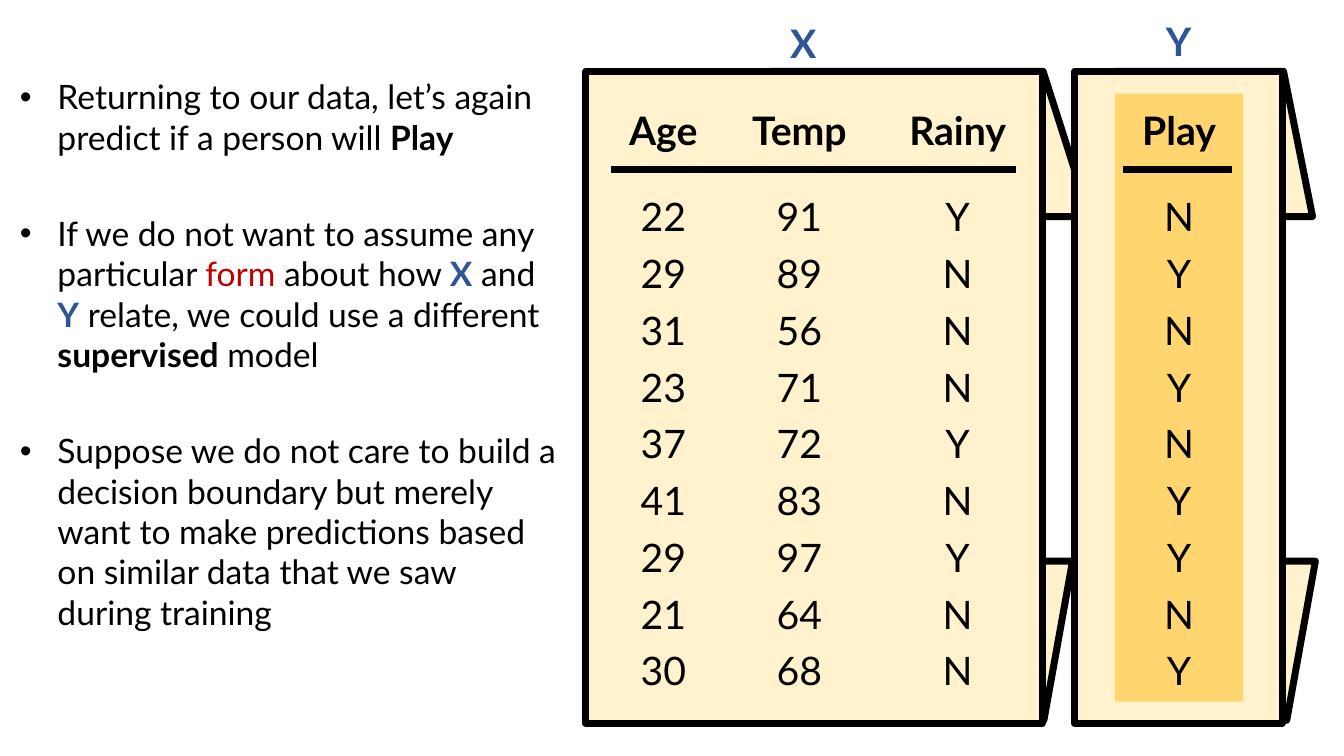
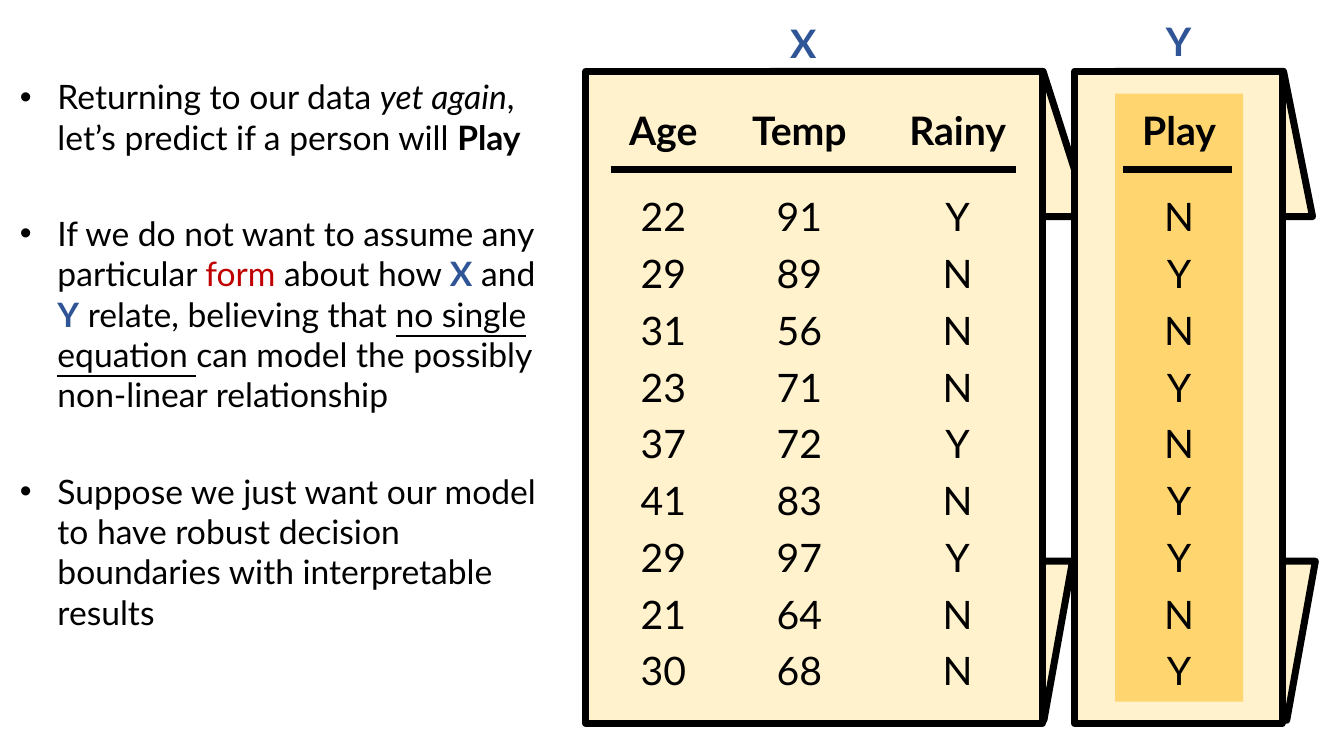
from lxml import etree
from pptx import Presentation
from pptx import util as u
from pptx.dml.color import RGBColor
from pptx.enum import shapes, text
from pptx.oxml import ns

COLORS = {"ink": "000000", "variable": "2F5597", "alert": "C00000",
          "panel": "FFF2CC", "highlight": "FFD570"}
FONT = "Lato"
NO_TABLE_STYLE = "{2D5ABB26-0587-4C30-8999-92F81FD0307C}"

# Run styles: colour name and font attributes
PLAIN = ("ink", {})
BOLD = ("ink", {"bold": True})
ITALIC = ("ink", {"italic": True})
UNDERLINED = ("ink", {"underline": True})
ALERT = ("alert", {})
VARIABLE = ("variable", {"bold": True})

# All boxes are left, top, width, height in cm
BULLET_BOX = (0.25, 1.8, 14.05, 16.84)
HEADER_HEIGHT, ROW_HEIGHT = 2.95, 1.43
RULE_TOP = 2.46

FEATURES = {
    "label": "X", "box": (14.76, 1.8, 11.51, 16.43),
    "label_box": (4.17, -1.45, 2.62, 1.45),
    "lower_flap": (7.11, 12.34, 5.16, 4.01), "lower_slant": 0.18,
    "upper_flap": (4.65, 0, 8.05, 3.66), "upper_slant": 0.32,
    "table_left": 0.38, "column_widths": (3.15, 3.71, 4.27),
    "rule": (0.64, 10.21),
    "rows": [("Age", "Temp", "Rainy"),
             ("22", "91", "Y"), ("29", "89", "N"), ("31", "56", "N"),
             ("23", "71", "N"), ("37", "72", "Y"), ("41", "83", "N"),
             ("29", "97", "Y"), ("21", "64", "N"), ("30", "68", "N")],
}
TARGET = {
    "label": "Y", "box": (27.08, 1.8, 5.23, 16.43),
    "label_box": (1.5, -1.5, 2.24, 1.45),
    "lower_flap": (0.91, 12.34, 5.16, 4.01), "lower_slant": 0.18,
    "upper_flap": (1.02, 0, 4.98, 3.66), "upper_slant": 0.2,
    "table_left": 1.02, "column_widths": (3.23,),
    "rule": (1.22, 2.74),
    "highlight": (1.02, 0.56, 3.23, 15.32),
    "rows": [("Play",), *"NYNYNYYNY"],
}

FORM_ASSUMPTION = [
    ("If we do not want to assume any particular ", PLAIN), ("form", ALERT),
    (" about how ", PLAIN), ("X", VARIABLE), (" and ", PLAIN), ("Y", VARIABLE)]
SLIDES = [
    [[("Returning to our data, let’s again predict if a person will ", PLAIN),
      ("Play", BOLD)],
     FORM_ASSUMPTION + [(" relate, we could use a different ", PLAIN),
                        ("supervised", BOLD), (" model", PLAIN)],
     [("Suppose we do not care to build a decision boundary but merely want to "
       "make predictions based on similar data that we saw during training", PLAIN)]],
    [[("Returning to our data ", PLAIN), ("yet again", ITALIC),
      (", let’s predict if a person will ", PLAIN), ("Play", BOLD)],
     FORM_ASSUMPTION + [(" relate, believing that ", PLAIN),
                        ("no single equation ", UNDERLINED),
                        ("can model the possibly non-linear relationship", PLAIN)],
     [("Suppose we just want our model to have robust decision boundaries "
       "with interpretable results", PLAIN)]],
]


def color(name):
    return RGBColor.from_string(COLORS[name])


def cm(box):
    return [u.Cm(length) for length in box]


def within(box, part):
    """Turn a part's offset inside a box into a place on the slide."""
    return (box[0] + part[0], box[1] + part[1], *part[2:])


def add_run(paragraph, words, style, size):
    color_name, attributes = style
    run = paragraph.add_run()
    run.text = words
    run.font.name, run.font.size = FONT, u.Pt(size)
    run.font.color.rgb = color(color_name)
    for attribute, value in attributes.items():
        setattr(run.font, attribute, value)


def add_block(slide, kind, box, fill, outlined=True):
    block = slide.shapes.add_shape(kind, *cm(box))
    block.shadow.inherit = False
    block.fill.solid()
    block.fill.fore_color.rgb = color(fill)
    if outlined:
        block.line.color.rgb = color("ink")
        block.line.width = u.Pt(5)
    else:
        block.line.fill.background()
    return block


def add_flap(slide, box, slant, mirrored=False):
    flap = add_block(slide, shapes.MSO_SHAPE.PARALLELOGRAM, box, "panel")
    flap.adjustments[0] = slant
    if mirrored:
        flap.element.spPr.xfrm.set("flipH", "1")


def add_rule(slide, left, top, length):
    rule = slide.shapes.add_connector(
        shapes.MSO_CONNECTOR.STRAIGHT, *cm((left, top, left + length, top)))
    rule.line.color.rgb = color("ink")
    rule.line.width = u.Pt(5)
    etree.SubElement(rule.element.spPr, ns.qn("a:effectLst"))


def add_label(slide, words, box):
    label = slide.shapes.add_textbox(*cm(box)).text_frame
    label.word_wrap = True
    paragraph = label.paragraphs[0]
    paragraph.alignment = text.PP_ALIGN.CENTER
    add_run(paragraph, words, VARIABLE, 28)


def add_data(slide, rows, left, top, column_widths):
    height = HEADER_HEIGHT + ROW_HEIGHT * (len(rows) - 1)
    table = slide.shapes.add_table(
        len(rows), len(column_widths),
        *cm((left, top, sum(column_widths), height))).table
    table.first_row = table.horz_banding = False
    table._tbl.tblPr.find(ns.qn("a:tableStyleId")).text = NO_TABLE_STYLE
    for column, width in zip(table.columns, column_widths):
        column.width = u.Cm(width)
    for i, row in enumerate(rows):
        table.rows[i].height = u.Cm(ROW_HEIGHT if i else HEADER_HEIGHT)
        for j, value in enumerate(row):
            cell = table.cell(i, j)
            cell.fill.background()
            cell.vertical_anchor = text.MSO_ANCHOR.MIDDLE
            cell.margin_top = cell.margin_bottom = 0
            paragraph = cell.text_frame.paragraphs[0]
            paragraph.alignment = text.PP_ALIGN.CENTER
            add_run(paragraph, value, PLAIN if i else BOLD, 28)


def add_panel(slide, panel):
    """Place a folded panel with its label, its columns and the header rule."""
    box = panel["box"]
    add_flap(slide, within(box, panel["lower_flap"]), panel["lower_slant"])
    add_flap(slide, within(box, panel["upper_flap"]), panel["upper_slant"], mirrored=True)
    add_block(slide, shapes.MSO_SHAPE.RECTANGLE, box, "panel")
    if "highlight" in panel:
        add_block(slide, shapes.MSO_SHAPE.RECTANGLE, within(box, panel["highlight"]),
                  "highlight", outlined=False)
    add_label(slide, panel["label"], within(box, panel["label_box"]))
    add_data(slide, panel["rows"], box[0] + panel["table_left"], box[1],
             panel["column_widths"])
    rule_left, rule_length = panel["rule"]
    add_rule(slide, box[0] + rule_left, box[1] + RULE_TOP, rule_length)


def add_bullets(slide, bullets, box):
    frame = slide.shapes.add_textbox(*cm(box)).text_frame
    frame.word_wrap = True
    for i, runs in enumerate(bullets):
        paragraph = frame.add_paragraph() if i else frame.paragraphs[0]
        if i:
            paragraph.space_before = u.Pt(40)
        properties = paragraph._p.get_or_add_pPr()
        indent = u.Cm(0.95)
        properties.set("marL", str(indent))
        properties.set("indent", str(-indent))
        etree.SubElement(properties, ns.qn("a:buFont"), typeface="Arial")
        etree.SubElement(properties, ns.qn("a:buChar"), char="•")
        for words, style in runs:
            add_run(paragraph, words, style, 24)


def add_data_slide(deck, bullets):
    slide = deck.slides.add_slide(deck.slide_layouts[6])
    add_bullets(slide, bullets, BULLET_BOX)
    for panel in (FEATURES, TARGET):
        add_panel(slide, panel)


def main():
    deck = Presentation()
    deck.slide_width, deck.slide_height = u.Cm(33.87), u.Cm(19.05)
    for bullets in SLIDES:
        add_data_slide(deck, bullets)
    deck.save("out.pptx")


if __name__ == "__main__":
    main()
